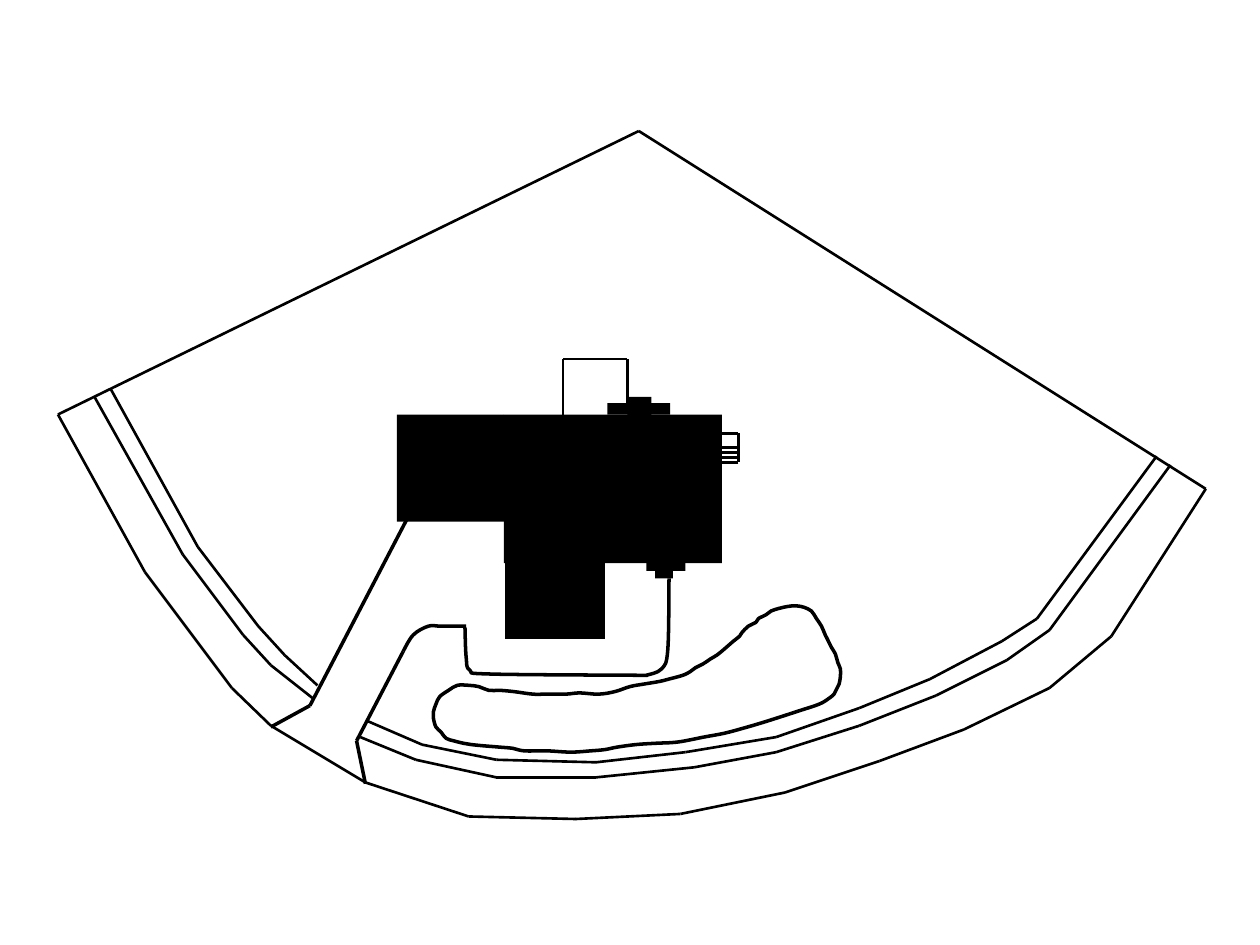
import itertools

import pptx
import pptx.dml.color
import pptx.enum.shapes
import pptx.util
from lxml import etree
from pptx.util import Inches

BLACK = pptx.dml.color.RGBColor(0, 0, 0)
THIN = pptx.util.Pt(1.5)
THICK = pptx.util.Pt(2)
A = "{http://schemas.openxmlformats.org/drawingml/2006/main}"


def add_segments(shapes, left, top, points, width=THIN):
    """Join successive points with straight lines."""
    for (x1, y1), (x2, y2) in itertools.pairwise(points):
        line = shapes.add_connector(
            pptx.enum.shapes.MSO_CONNECTOR.STRAIGHT,
            Inches(left + x1), Inches(top + y1),
            Inches(left + x2), Inches(top + y2))
        line.line.color.rgb = BLACK
        line.line.width = width
        etree.SubElement(line._element.spPr, f"{A}effectLst")


def add_block(shapes, x, y, width, height):
    block = shapes.add_shape(
        pptx.enum.shapes.MSO_SHAPE.RECTANGLE,
        Inches(x), Inches(y), Inches(width), Inches(height))
    block.shadow.inherit = False
    block.fill.solid()
    block.fill.fore_color.rgb = BLACK
    block.line.fill.background()


def round_outline(outline, closed):
    """Turn the straight pieces of a freeform into Bezier pieces."""
    knots = [(int(pt.get("x")), int(pt.get("y")))
             for pt in outline._element.iter(f"{A}pt")]
    before = knots[-2] if closed else knots[0]
    after = knots[1] if closed else knots[-1]
    padded = [before, *knots, after]
    pieces = list(outline._element.iter(f"{A}lnTo"))
    for piece, a, b, c, d in zip(pieces, padded, padded[1:], padded[2:],
                                 padded[3:]):
        leave = [q + (r - p) / 6 for p, q, r in zip(a, b, c)]
        arrive = [r - (s - q) / 6 for q, r, s in zip(b, c, d)]
        bezier = etree.Element(f"{A}cubicBezTo")
        for x, y in (leave, arrive, c):
            etree.SubElement(bezier, f"{A}pt",
                             x=str(round(x)), y=str(round(y)))
        piece.getparent().replace(piece, bezier)


def add_curve(shapes, left, top, knots, closed=False):
    """Draw a smooth line through the knots."""
    if closed:
        knots = [*knots, knots[0]]
    points = [(Inches(left + x), Inches(top + y)) for x, y in knots]
    builder = shapes.build_freeform(*points[0])
    builder.add_line_segments(points[1:], close=closed)
    curve = builder.convert_to_shape()
    round_outline(curve, closed)
    curve.shadow.inherit = False
    curve.fill.background()
    curve.line.color.rgb = BLACK
    curve.line.width = THICK


def add_lot_boundary(shapes, left, top):
    # Two straight sides and the street edge, clockwise from the west corner
    add_segments(shapes, left, top, [
        (0.46, 3.29), (5.07, 1.04), (9.57, 3.88), (8.82, 5.05), (8.33, 5.46),
        (7.65, 5.79), (6.98, 6.04), (6.23, 6.29), (5.4, 6.46), (4.57, 6.5),
        (3.72, 6.48), (2.9, 6.21), (2.15, 5.76), (1.84, 5.46), (1.15, 4.54),
        (0.46, 3.29)])


def add_sidewalk(shapes, left, top):
    edges = [
        # West of the driveway: outer, inner
        [(2.48, 5.54), (2.15, 5.28), (1.93, 5.04), (1.45, 4.4), (0.75, 3.15)],
        [(2.52, 5.44), (2.26, 5.2), (2.05, 4.97), (1.57, 4.34), (0.88, 3.09)],
        # East of the driveway: outer, inner
        [(9.29, 3.69), (8.33, 5), (7.99, 5.24), (7.43, 5.52), (6.82, 5.76),
         (6.16, 5.97), (5.51, 6.09), (4.73, 6.17), (3.94, 6.17), (3.3, 6.03),
         (2.86, 5.85)],
        [(9.18, 3.62), (8.23, 4.91), (7.95, 5.09), (7.38, 5.39), (6.82, 5.62),
         (6.16, 5.85), (5.44, 5.97), (4.73, 6.05), (3.94, 6.03), (3.35, 5.91),
         (2.91, 5.72)],
    ]
    for edge in edges:
        add_segments(shapes, left, top, edge)


def add_driveway(shapes, left, top):
    add_segments(shapes, left, top,
                 [(3.23, 4.12), (2.46, 5.6), (2.15, 5.77)], THICK)
    add_segments(shapes, left, top,
                 [(3.2, 5.17), (2.83, 5.88), (2.9, 6.22)], THICK)
    # Walk around the south wing
    add_curve(shapes, left, top, [
        (3.69, 4.98), (3.7, 5.22), (3.73, 5.32), (3.9, 5.35), (5.14, 5.36)])
    add_curve(shapes, left, top, [
        (5.13, 5.36), (5.25, 5.31), (5.3, 5.16), (5.31, 4.59)])
    # Turn towards the house
    add_curve(shapes, left, top, [
        (3.2, 5.17), (3.28, 5.04), (3.4, 4.97), (3.5, 4.97), (3.7, 4.97)])


def add_house(shapes, left, top):
    for x, y, width, height in [
            (0, 0, 1.73, 1.18),          # main body
            (0.01, 0.6, 0.79, 1.18),     # south wing
            (0.82, -0.09, 0.5, 0.09),    # north steps
            (0.98, -0.14, 0.19, 0.19),
            (1.13, 1.05, 0.31, 0.19),    # south steps
            (1.2, 1.11, 0.14, 0.19)]:
        add_block(shapes, left + x, top + y, width, height)


def add_patio(shapes, left, top, width, height):
    add_segments(shapes, left, top,
                 [(0, height), (0, 0), (width, 0), (width, 0.4)])


def add_side_stairs(shapes, left, top, width, height):
    add_segments(shapes, left, top,
                 [(0, 0), (width, 0), (width, height), (0, height)])
    for tread in range(1, 4):
        y = height - 0.04 * tread
        add_segments(shapes, left, top, [(width, y), (0, y)])


def add_planting_bed(shapes, left, top):
    add_curve(shapes, left, top, [
        (3.72, 5.44), (3.63, 5.44), (3.56, 5.48), (3.49, 5.53), (3.46, 5.59),
        (3.44, 5.65), (3.44, 5.7), (3.46, 5.77), (3.5, 5.81), (3.54, 5.86),
        (3.6, 5.88), (3.68, 5.9), (3.74, 5.91), (3.84, 5.92), (3.96, 5.93),
        (4.07, 5.94), (4.16, 5.96), (4.34, 5.96), (4.53, 5.97), (4.69, 5.96),
        (4.8, 5.95), (4.9, 5.93), (5.05, 5.91), (5.2, 5.9), (5.38, 5.89),
        (5.59, 5.85), (5.75, 5.82), (5.9, 5.78), (6.07, 5.73), (6.35, 5.64),
        (6.5, 5.59), (6.57, 5.55), (6.62, 5.51), (6.64, 5.47), (6.66, 5.43),
        (6.67, 5.37), (6.67, 5.31), (6.65, 5.26), (6.63, 5.19), (6.6, 5.14),
        (6.57, 5.08), (6.55, 5.04), (6.52, 4.97), (6.48, 4.91), (6.44, 4.85),
        (6.38, 4.82), (6.33, 4.81), (6.28, 4.81), (6.22, 4.82), (6.18, 4.83),
        (6.12, 4.85), (6.08, 4.88), (6.02, 4.91), (6, 4.94), (5.94, 4.97),
        (5.89, 5.02), (5.87, 5.05), (5.82, 5.09), (5.74, 5.16), (5.69, 5.2),
        (5.64, 5.23), (5.58, 5.27), (5.52, 5.3), (5.48, 5.33), (5.42, 5.36),
        (5.31, 5.39), (5.23, 5.41), (5.11, 5.43), (5, 5.45), (4.88, 5.49),
        (4.75, 5.51), (4.6, 5.5), (4.49, 5.51), (4.33, 5.51), (4.23, 5.51),
        (4.08, 5.49), (3.97, 5.48), (3.88, 5.48), (3.8, 5.45)], closed=True)


def add_site_plan(slide, left, top):
    plan = slide.shapes.add_group_shape().shapes
    add_lot_boundary(plan, left, top)
    add_house(plan, left + 4, top + 3.29)
    add_driveway(plan, left, top)
    add_patio(plan, left + 4.47, top + 2.85, 0.51, 0.44)
    add_side_stairs(plan, left + 5.73, top + 3.44, 0.13, 0.23)
    add_sidewalk(plan, left, top)
    add_planting_bed(plan, left, top)
    # Garage
    add_block(slide.shapes, left + 3.15, top + 3.29, 0.85, 0.85)


def main():
    deck = pptx.Presentation()
    deck.slide_width = Inches(10)
    deck.slide_height = Inches(7.5)
    slide = deck.slides.add_slide(deck.slide_layouts[6])
    add_site_plan(slide, 0, 0)
    deck.save("out.pptx")


if __name__ == "__main__":
    main()
